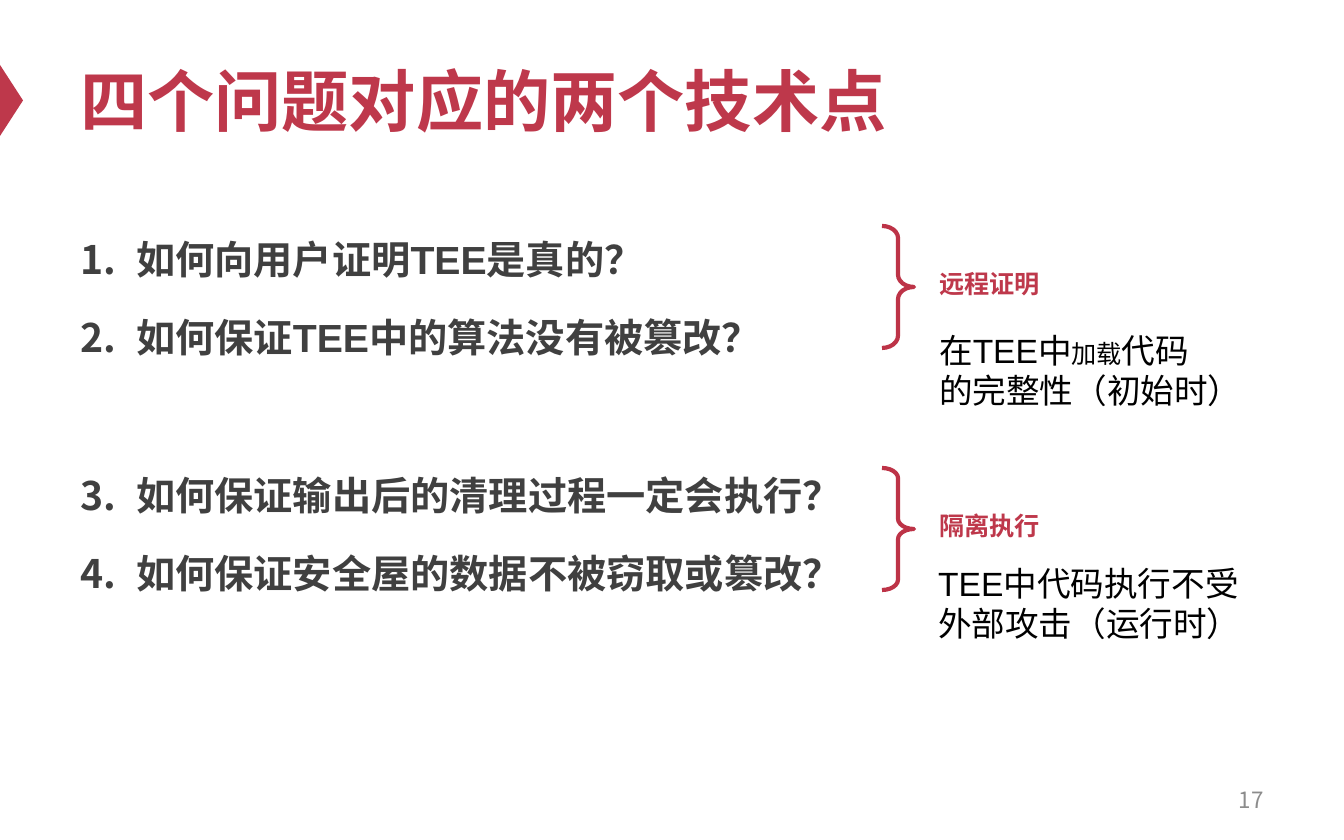
from lxml import etree
from pptx import Presentation
from pptx.dml.color import RGBColor
from pptx.enum.shapes import MSO_SHAPE
from pptx.enum.text import MSO_ANCHOR, PP_ALIGN
from pptx.oxml.ns import qn
from pptx.util import Emu, Pt

TRIANGLE = MSO_SHAPE.ISOSCELES_TRIANGLE
BRACE = MSO_SHAPE.RIGHT_BRACE
TOP, MIDDLE = MSO_ANCHOR.TOP, MSO_ANCHOR.MIDDLE
LEFT, RIGHT = PP_ALIGN.LEFT, PP_ALIGN.RIGHT

LATIN, CJK = "Arial", "Noto Sans CJK SC"
RED, BRACE_RED = "BE384B", "BD3347"
BLACK, DARK, GRAY = "000000", "404040", "8C8C8C"

QUESTIONS = [
    ("如何向用户证明TEE是真的？", 0),
    ("如何保证TEE中的算法没有被篡改？", 12),
    ("如何保证输出后的清理过程一定会执行？", 54),
    ("如何保证安全屋的数据不被窃取或篡改？", 12),
]
GROUPS = [("远程证明", 0.38), ("隔离执行", 0.32)]
GROUP_TOP, GROUP_STEP = 226, 242


def px(n):
    return Emu(round(n * 914400 / 134.4))


def rgb(value):
    return RGBColor.from_string(value)


def add_run(p, text, size, color, bold=False, font=LATIN):
    r = p.add_run()
    r.text = text
    r.font.size = Pt(size)
    r.font.bold = bold
    r.font.name = font
    r.font.color.rgb = rgb(color)
    ea = etree.SubElement(r._r.get_or_add_rPr(), qn("a:ea"))
    ea.set("typeface", CJK)


def add_box(slide, x, y, w, h, anchor=TOP, align=LEFT):
    sp = slide.shapes.add_textbox(px(x), px(y), px(w), px(h))
    tf = sp.text_frame
    tf.word_wrap = True
    tf.vertical_anchor = anchor
    tf.paragraphs[0].alignment = align
    return tf


def add_shape(slide, kind, x, y, w, h):
    sp = slide.shapes.add_shape(kind, px(x), px(y), px(w), px(h))
    sp.shadow.inherit = False
    return sp


def add_marker(slide):
    sp = add_shape(slide, TRIANGLE, -24, 89, 71, 23)
    sp.rotation = 90
    sp.fill.solid()
    sp.fill.fore_color.rgb = rgb(RED)
    sp.line.fill.background()


def add_brace(slide, y, curve):
    sp = add_shape(slide, BRACE, 882, y, 32, 122)
    sp.adjustments[0] = curve
    sp.fill.background()
    sp.line.color.rgb = rgb(BRACE_RED)
    sp.line.width = Pt(2.25)


def number_paragraph(p):
    pPr = p._p.get_or_add_pPr()
    pPr.set("marL", str(px(56)))
    pPr.set("indent", str(-px(56)))
    etree.SubElement(pPr, qn("a:buFont")).set("typeface", CJK)
    etree.SubElement(pPr, qn("a:buAutoNum")).set("type", "arabicPeriod")


def add_questions(slide):
    tf = add_box(slide, 67, 219, 814, 499)
    for i, (text, before) in enumerate(QUESTIONS):
        p = tf.add_paragraph() if i else tf.paragraphs[0]
        number_paragraph(p)
        p.line_spacing = 1.2
        p.space_before = Pt(before)
        add_run(p, text, 21, DARK, bold=True)


def add_groups(slide):
    for i, (label, curve) in enumerate(GROUPS):
        y = GROUP_TOP + i * GROUP_STEP
        add_brace(slide, y, curve)
        tf = add_box(slide, 926, y + 36, 180, 44)
        add_run(tf.paragraphs[0], label, 13.5, RED, bold=True)


def add_notes(slide):
    tf = add_box(slide, 926, 323, 387, 95)
    p = tf.paragraphs[0]
    for text, size in [("在TEE中", 18), ("加载", 13.5), ("代码", 18)]:
        add_run(p, text, size, BLACK)
    add_run(tf.add_paragraph(), "的完整性（初始时）", 18, BLACK)

    p = add_box(slide, 925, 556, 352, 95).paragraphs[0]
    add_run(p, "TEE中代码执行不受", 18, BLACK)
    p.add_line_break()
    add_run(p, "外部攻击（运行时）", 18, BLACK)


def main():
    prs = Presentation()
    prs.slide_width, prs.slide_height = px(1344), px(840)
    slide = prs.slides.add_slide(prs.slide_layouts[6])
    add_marker(slide)
    title = add_box(slide, 67, 34, 1210, 132, MIDDLE)
    add_run(title.paragraphs[0], "四个问题对应的两个技术点", 36, RED, bold=True)
    add_questions(slide)
    number = add_box(slide, 964, 778, 313, 44, MIDDLE, RIGHT)
    add_run(number.paragraphs[0], "17", 12, GRAY, font=CJK)
    add_groups(slide)
    add_notes(slide)
    prs.save("out.pptx")


if __name__ == "__main__":
    main()
